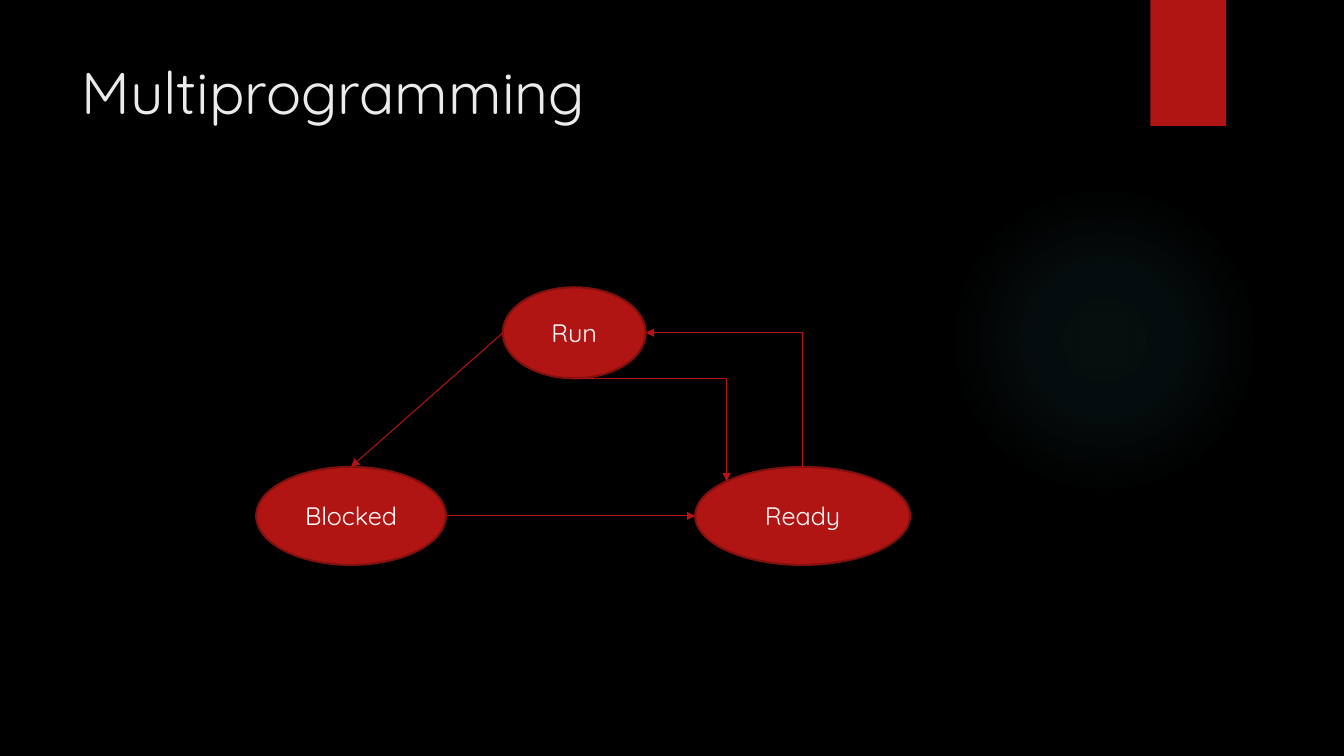
import math

import pptx
import pptx.dml.color
import pptx.enum.shapes
import pptx.enum.text
import pptx.oxml
import pptx.oxml.ns
import pptx.util

Pt = pptx.util.Pt
SHAPES = pptx.enum.shapes.MSO_SHAPE
CONNECTORS = pptx.enum.shapes.MSO_CONNECTOR
ANCHOR = pptx.enum.text.MSO_ANCHOR
ALIGN = pptx.enum.text.PP_ALIGN
FONT = "Quicksand"
COLORS = {
    "background": "000000",
    "title": "EBEBEB",
    "state": "B01513",
    "outline": "82100E",
    "label": "FFFFFF",
    "glow": "50B9C1",
}
GLOW_STOPS = ((0, 7), (36, 6), (69, 0))


def rgb(name):
    return pptx.dml.color.RGBColor.from_string(COLORS[name])


def add_xml(parent, xml):
    namespace = pptx.oxml.ns.nsdecls("a")
    child = pptx.oxml.parse_xml(xml.replace(" ", f" {namespace} ", 1))
    parent.append(child)
    return child


def style_text(paragraph, size, color, alignment):
    paragraph.alignment = alignment
    paragraph.font.name = FONT
    paragraph.font.size = Pt(size)
    paragraph.font.color.rgb = rgb(color)


def add_title(slide, text):
    title = slide.shapes.title
    title.left, title.top, title.width, title.height = map(Pt, (51, 36, 741, 110))
    frame = title.text_frame
    frame.text = text
    frame.auto_size = pptx.enum.text.MSO_AUTO_SIZE.NONE
    frame.vertical_anchor = ANCHOR.TOP
    style_text(frame.paragraphs[0], 42, "title", ALIGN.LEFT)


def add_plain(slide, kind, left, top, width, height):
    plain = slide.shapes.add_shape(kind, Pt(left), Pt(top), Pt(width), Pt(height))
    plain.shadow.inherit = False
    plain.fill.solid()
    plain.fill.fore_color.rgb = rgb("state")
    plain.line.fill.background()
    return plain


def add_glow(slide, left, top, size):
    glow = add_plain(slide, SHAPES.OVAL, left, top, size, size)
    stops = "".join(
        f'<a:gs pos="{position * 1000}"><a:srgbClr val="{COLORS["glow"]}">'
        f'<a:alpha val="{alpha * 1000}"/></a:srgbClr></a:gs>'
        for position, alpha in GLOW_STOPS
    )
    properties = glow._element.spPr
    gradient = add_xml(
        properties,
        f'<a:gradFill rotWithShape="1"><a:gsLst>{stops}</a:gsLst><a:path path="circle">'
        '<a:fillToRect l="50000" t="50000" r="50000" b="50000"/></a:path></a:gradFill>',
    )
    properties.replace(properties.find(pptx.oxml.ns.qn("a:solidFill")), gradient)


def add_state(slide, label, left, top, width, height):
    state = add_plain(slide, SHAPES.OVAL, left, top, width, height)
    state.line.color.rgb = rgb("outline")
    state.line.width = Pt(1.5)
    frame = state.text_frame
    frame.text = label
    frame.vertical_anchor = ANCHOR.MIDDLE
    style_text(frame.paragraphs[0], 18, "label", ALIGN.CENTER)
    return state


def rim_point(state, degrees):
    angle = math.radians(degrees)
    x = state.left + state.width / 2 * (1 + math.cos(angle))
    y = state.top + state.height / 2 * (1 - math.sin(angle))
    return round(x), round(y)


def add_arrow(slide, start, end, kind=CONNECTORS.STRAIGHT):
    arrow = slide.shapes.add_connector(kind, *start, *end)
    arrow.line.color.rgb = rgb("state")
    arrow.line.width = Pt(0.75)
    add_xml(arrow.line._get_or_add_ln(), '<a:tailEnd type="triangle"/>')
    add_xml(arrow._element.spPr, "<a:effectLst />")
    return arrow


def add_elbow(slide, start, end):
    elbow = add_arrow(slide, start, end, CONNECTORS.ELBOW)
    geometry = elbow._element.spPr.find(pptx.oxml.ns.qn("a:prstGeom"))
    geometry.set("prst", "bentConnector2")
    return elbow


def add_upward_elbow(slide, start, end):
    elbow = add_elbow(slide, start, end)
    width, height = elbow.width, elbow.height
    elbow.left += (width - height) // 2
    elbow.top += (height - width) // 2
    elbow.width, elbow.height = height, width
    frame = elbow._element.spPr.get_or_add_xfrm()
    frame.rot = 270
    frame.flipH = False
    frame.flipV = True


def main():
    deck = pptx.Presentation()
    deck.slide_width, deck.slide_height = Pt(960), Pt(540)
    slide = deck.slides.add_slide(deck.slide_layouts[5])
    slide.background.fill.solid()
    slide.background.fill.fore_color.rgb = rgb("background")

    add_glow(slide, 677.5, 132, 222)
    add_plain(slide, SHAPES.RECTANGLE, 821.8, 0, 54, 90)
    add_title(slide, "Multiprogramming")

    run = add_state(slide, "Run", 359.2, 205.2, 102, 65)
    blocked = add_state(slide, "Blocked", 183, 333.5, 135.5, 70)
    ready = add_state(slide, "Ready", 496.6, 333.5, 153.4, 70)

    add_arrow(slide, rim_point(run, 180), rim_point(blocked, 90))
    add_arrow(slide, rim_point(blocked, 0), rim_point(ready, 180))
    add_upward_elbow(slide, rim_point(ready, 90), rim_point(run, 0))
    add_elbow(slide, rim_point(run, 270), rim_point(ready, 135))

    deck.save("out.pptx")


if __name__ == "__main__":
    main()
